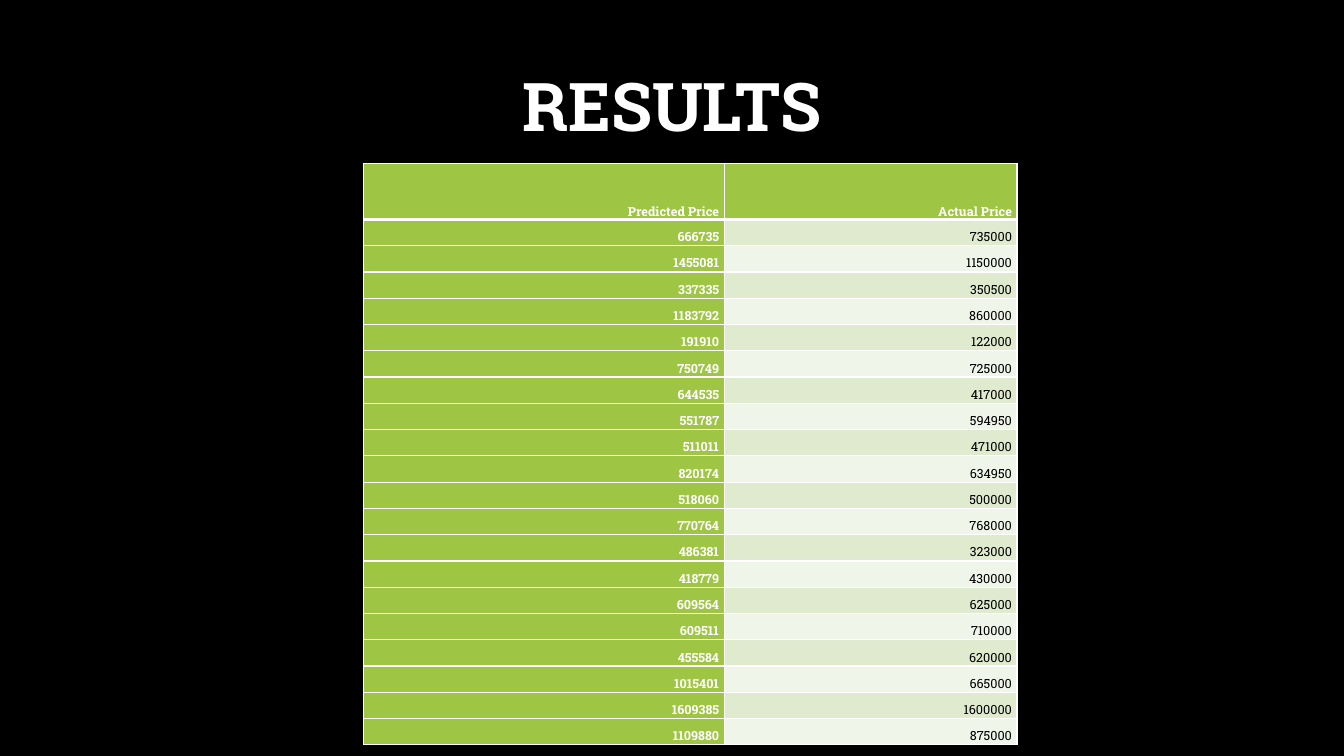
from dataclasses import dataclass

from lxml import etree
from pptx import Presentation
from pptx.dml.color import RGBColor
from pptx.enum.text import MSO_ANCHOR, PP_ALIGN
from pptx.oxml.ns import qn
from pptx.util import Cm, Pt

CENTER, RIGHT = PP_ALIGN.CENTER, PP_ALIGN.RIGHT
BOTTOM, MIDDLE = MSO_ANCHOR.BOTTOM, MSO_ANCHOR.MIDDLE


@dataclass(frozen=True)
class Theme:
    font: str = "Roboto Slab"
    background: str = "000000"
    light: str = "FFFFFF"
    dark: str = "000000"
    accent: str = "9EC544"
    bands: tuple = ("DFEACF", "F0F5E9")
    title_size: int = 48
    table_size: int = 9
    thin_line: int = 1
    thick_line: int = 3


THEME = Theme()
HEADINGS = ("Predicted Price", "Actual Price")
PRICES = (
    (666735, 735000),
    (1455081, 1150000),
    (337335, 350500),
    (1183792, 860000),
    (191910, 122000),
    (750749, 725000),
    (644535, 417000),
    (551787, 594950),
    (511011, 471000),
    (820174, 634950),
    (518060, 500000),
    (770764, 768000),
    (486381, 323000),
    (418779, 430000),
    (609564, 625000),
    (609511, 710000),
    (455584, 620000),
    (1015401, 665000),
    (1609385, 1600000),
    (1109880, 875000),
)
COLUMN_WIDTHS = (Cm(9.08), Cm(7.38))
TABLE_HEIGHT, HEADER_HEIGHT = Cm(14.66), Cm(1.42)


def write(frame, text, size, color, bold, align, spacing):
    para = frame.paragraphs[0]
    para.text = text
    para.alignment = align
    para.line_spacing = spacing
    para.font.name = THEME.font
    para.font.size = Pt(size)
    para.font.bold = bold
    para.font.color.rgb = RGBColor.from_string(color)


def add_title(page, text):
    box = page.shapes.add_textbox(Cm(4.23), Cm(0.28), Cm(25.4), Cm(3.53))
    frame = box.text_frame
    frame.word_wrap = True
    frame.vertical_anchor = BOTTOM
    write(frame, text, THEME.title_size, THEME.light, True, CENTER, 0.9)


def set_borders(cell, top, bottom):
    properties = cell._tc.get_or_add_tcPr()
    widths = {"lnL": THEME.thin_line, "lnR": THEME.thin_line, "lnT": top, "lnB": bottom}
    for position, (side, width) in enumerate(widths.items()):
        line = etree.Element(qn(f"a:{side}"), w=str(Pt(width)))
        fill = etree.SubElement(line, qn("a:solidFill"))
        etree.SubElement(fill, qn("a:srgbClr"), val=THEME.light)
        properties.insert(position, line)


def fill_cell(cell, text, row, column):
    is_header = row == 0
    is_accent = is_header or column == 0
    cell.margin_left = cell.margin_right = Cm(0.13)
    cell.margin_top = cell.margin_bottom = 0
    cell.vertical_anchor = BOTTOM if is_header else MIDDLE
    cell.fill.solid()
    fill = THEME.accent if is_accent else THEME.bands[(row - 1) % 2]
    cell.fill.fore_color.rgb = RGBColor.from_string(fill)
    color = THEME.light if is_accent else THEME.dark
    write(cell.text_frame, text, THEME.table_size, color, is_accent, RIGHT, 1.5)
    set_borders(
        cell,
        top=THEME.thick_line if row == 1 else THEME.thin_line,
        bottom=THEME.thick_line if is_header else THEME.thin_line,
    )


def add_price_table(page):
    records = (HEADINGS, *PRICES)
    table = page.shapes.add_table(
        len(records), len(HEADINGS), Cm(9.17), Cm(4.11), sum(COLUMN_WIDTHS), TABLE_HEIGHT
    ).table
    for column, width in zip(table.columns, COLUMN_WIDTHS):
        column.width = width
    price_height = (TABLE_HEIGHT - HEADER_HEIGHT) // len(PRICES)
    for row, record in enumerate(records):
        table.rows[row].height = price_height if row else HEADER_HEIGHT
        for column, value in enumerate(record):
            fill_cell(table.cell(row, column), str(value), row, column)


def main():
    deck = Presentation()
    deck.slide_width, deck.slide_height = Cm(33.87), Cm(19.05)
    page = deck.slides.add_slide(deck.slide_layouts[6])
    page.background.fill.solid()
    page.background.fill.fore_color.rgb = RGBColor.from_string(THEME.background)
    add_title(page, "RESULTS")
    add_price_table(page)
    deck.save("out.pptx")


if __name__ == "__main__":
    main()
